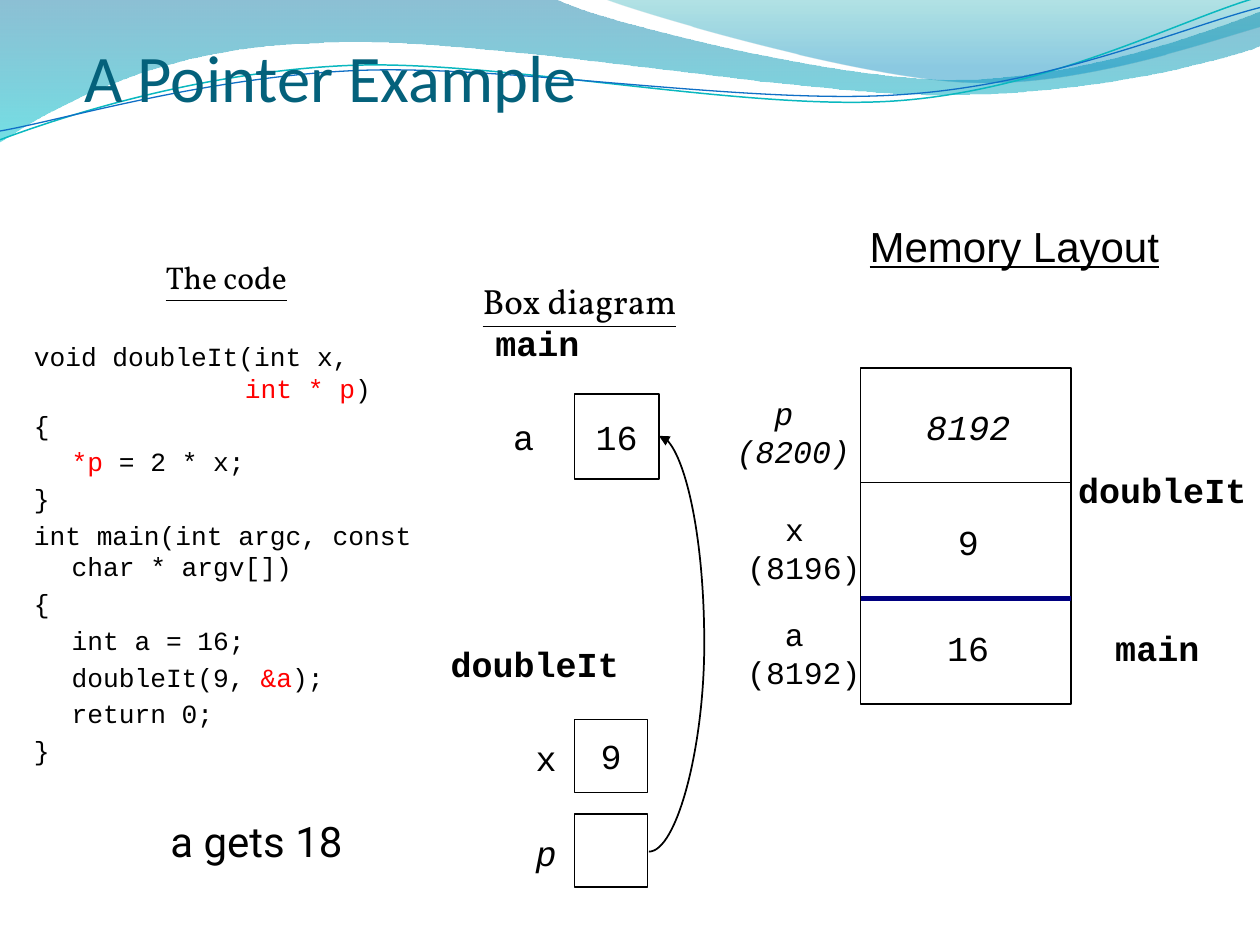
from pptx import Presentation
from pptx.dml.color import RGBColor as Rgb
from pptx.enum.shapes import MSO_CONNECTOR as Link, MSO_SHAPE as Shape
from pptx.enum.text import MSO_ANCHOR as Anchor, MSO_AUTO_SIZE as Auto, PP_ALIGN as Align
from pptx.oxml.ns import qn
from pptx.util import Inches, Pt
from lxml.etree import SubElement as Sub

THEME = {
    "ink": "000000", "paper": "FFFFFF", "red": "FF0000", "navy": "000080",
    "title": dict(name="Calibri", size=38, color="04617B"),
    "code_head": dict(name="Vollkorn", size=18, underline=True),
    "box_head": dict(name="Vollkorn", size=20, underline=True),
    "mem_head": dict(name="Arial", size=24, underline=True),
    "code": dict(name="Courier New", size=15),
    "mono": dict(name="Courier New", size=20),
    "place": dict(name="Courier New", size=18),
    "note": dict(name="Roboto", size=24),
}
BOLD, SLANT = {"bold": True}, {"italic": True}

# Each wave: start point, then Bezier curves or straight corners
BANDS = [
    ([(0, 0), (4.4, -0.01), (4.76, 0.17, 6.64, 0.63, 7.58, 0.63),
      (8.53, 0.63, 9.58, 0.26, 10, 0.09), (10.01, 0.36),
      (9.83, 0.44, 8.7, 0.76, 7.46, 0.75), (6.22, 0.75, 3.82, 0.28, 2.57, 0.34),
      (1.29, 0.36, 0.46, 0.83, -0.01, 1.13)],
     [(0, "0074A1", 45), (1, "00C6CF", 55)]),
    ([(4.79, -0.01), (5.09, 0.11, 6.82, 0.62, 7.69, 0.65),
      (8.56, 0.69, 9.61, 0.32, 10, 0.21), (10, 0)],
     [(0, "00A1A9", 30), (0.8, "008BBF", 45)]),
]
WAVES = [
    ([(0, 1.11), (0.48, 0.93, 1.58, 0.57, 2.77, 0.52),
      (3.95, 0.47, 5.93, 0.89, 7.13, 0.8), (8.33, 0.71, 9.38, 0.15, 9.98, -0.02)],
     "0AB8BF", 0.85),
    ([(0, 1.04), (0.47, 0.96, 1.64, 0.61, 2.83, 0.56),
      (4.03, 0.51, 5.97, 0.84, 7.17, 0.75), (8.36, 0.67, 9.41, 0.21, 10, 0.06)],
     "0F6FC6", 0.75),
]

# Code lines as runs of text and color
CODE = [
    [("void doubleIt(int x, \n           ", "ink"), ("int * p", "red"), (")", "ink")],
    [("{", "ink")],
    [("\t", "ink"), ("*p", "red"), (" = 2 * x;", "ink")],
    [("}", "ink")],
    [("int main(int argc, const char * argv[])", "ink")],
    [("{", "ink")],
    [("\tint a = 16;", "ink")],
    [("\tdoubleIt(9, ", "ink"), ("&a", "red"), (");", "ink")],
    [("\treturn 0;", "ink")],
    [("}", "ink")],
]

# Text, style, place, extra format, wrap
LABELS = [
    ("Box diagram", "box_head", (3.13, 2.17, 2.94, 0.61), {}, True),
    ("Memory Layout", "mem_head", (6.5, 1.7, 3.1, 0.9), {}, True),
    ("main", "mono", (3.82, 2.5, 0.89, 0.43), BOLD, False),
    ("a", "mono", (3.96, 3.25, 0.39, 0.43), {}, False),
    ("doubleIt", "mono", (3.46, 5.05, 1.57, 0.43), BOLD, False),
    ("x", "mono", (4.15, 5.8, 0.37, 0.43), {}, True),
    ("p", "mono", (4.15, 6.55, 0.37, 0.43), SLANT, True),
    ("p \n(8200)", "place", (5.67, 3.08, 1.25, 0.7), SLANT, True),
    ("x \n(8196)", "place", (5.67, 4, 1.42, 0.7), {}, True),
    ("a \n(8192)", "place", (5.83, 4.83, 1.1, 0.7), {}, False),
    ("8192", "mono", (7.24, 3.17, 0.89, 0.43), SLANT, False),
    ("9", "mono", (7.49, 4.08, 0.39, 0.43), {}, False),
    ("16", "mono", (7.4, 4.92, 0.57, 0.43), {}, False),
    ("doubleIt", "mono", (8.44, 3.67, 1.57, 0.43), BOLD, False),
    ("main", "mono", (8.74, 4.92, 0.89, 0.43), BOLD, False),
    ("a gets 18", "note", (1.24, 6.42, 1.59, 0.5), {}, False),
]
LEFT, WIDE = 6.83, 1.67
BOXES = [("", (LEFT, 2.92, WIDE, 2.67)), ("16", (4.56, 3.13, 0.67, 0.67)),
         ("9", (4.56, 5.71, 0.58, 0.58)), ("", (4.56, 6.46, 0.58, 0.58))]
RULES = [(3.83, "ink", 1), (4.75, "navy", 3)]

deck = Presentation()
deck.slide_width, deck.slide_height = Inches(10), Inches(7.5)
shapes = deck.slides.add_slide(deck.slide_layouts[6]).shapes


def draw(path, close):
    """Build a freeform through the corners, then bend its curved parts."""
    first, *rest = [tuple(map(Inches, part[-2:])) for part in path]
    pen = shapes.build_freeform(*first)
    pen.add_line_segments(rest, close=close)
    form = pen.convert_to_shape()
    form.shadow.inherit = False
    sides = list(form._element.spPr.iter(qn("a:lnTo")))
    for side, part in zip(sides, path[1:]):
        if len(part) == 6:
            home = side.getparent()
            curve = Sub(home, qn("a:cubicBezTo"))
            for x, y in zip(part[::2], part[1::2]):
                Sub(curve, qn("a:pt"), x=str(Inches(x) - form.left),
                    y=str(Inches(y) - form.top))
            home.replace(side, curve)
    return form


def ink(line, color, width):
    line.color.rgb, line.width = Rgb.from_string(color), Pt(width)


def write(para, text, style, **extra):
    look = {"color": THEME["ink"], **THEME[style], **extra}
    for i, piece in enumerate(text.split("\n")):
        if i:
            para.add_line_break()
        run = para.add_run()
        run.text = piece
        for key, value in look.items():
            if key == "color":
                run.font.color.rgb = Rgb.from_string(value)
            else:
                setattr(run.font, key, Pt(value) if key == "size" else value)


def frame(place, wrap=True):
    text = shapes.add_textbox(*map(Inches, place)).text_frame
    text.word_wrap = wrap
    return text


def join(kind, start, end, color, width):
    link = shapes.add_connector(kind, *map(Inches, start + end))
    ink(link.line, color, width)
    Sub(link._element.spPr, qn("a:effectLst"))
    return link


for path, stops in BANDS:
    band = draw(path, True)
    band.line.fill.background()
    band.fill.gradient()
    band.fill.gradient_angle = 270
    for stop, (spot, color, _) in zip(band.fill.gradient_stops, stops):
        stop.position, stop.color.rgb = spot, Rgb.from_string(color)
    for node, (_, _, alpha) in zip(band._element.spPr.iter(qn("a:srgbClr")), stops):
        Sub(node, qn("a:alpha"), val=str(alpha * 1000))
for path, color, width in WAVES:
    wave = draw(path, False)
    wave.fill.background()
    ink(wave.line, color, width)

head = frame((0.67, 0.17, 9.17, 0.75))
head.vertical_anchor = Anchor.BOTTOM
head.margin_left = head.margin_right = head.margin_bottom = 0
write(head.paragraphs[0], "A Pointer Example", "title")

body = frame((0.17, 2, 3.25, 5.17))
para = body.paragraphs[0]
para.alignment = Align.CENTER
write(para, "The code", "code_head")
for i, runs in enumerate(CODE):
    para = body.add_paragraph()
    para.space_before = Pt(3 if i else 25.5)
    props = para._p.get_or_add_pPr()
    props.set("marL", str(Inches(0.3)))
    props.set("indent", str(-Inches(0.3)))
    for text, color in runs:
        write(para, text, "code", color=THEME[color])

for text, place in BOXES:
    box = shapes.add_shape(Shape.RECTANGLE, *map(Inches, place))
    box.shadow.inherit = False
    box.fill.solid()
    box.fill.fore_color.rgb = Rgb.from_string(THEME["paper"])
    ink(box.line, THEME["ink"], 1)
    if text:
        box.text_frame.word_wrap = False
        box.text_frame.vertical_anchor = Anchor.MIDDLE
        para = box.text_frame.paragraphs[0]
        para.alignment = Align.CENTER
        write(para, text, "mono")

for y, color, width in RULES:
    join(Link.STRAIGHT, (LEFT, y), (LEFT + WIDE, y), THEME[color], width)
arrow = join(Link.CURVE, (5.15, 6.76), (5.23, 3.46), THEME["ink"], 1)
Sub(arrow.line._get_or_add_ln(), qn("a:tailEnd"), type="triangle")
bend = arrow._element.spPr.find(qn("a:prstGeom")).find(qn("a:avLst"))
Sub(bend, qn("a:gd"), name="adj1", fmla="val 550000")

for text, style, place, extra, wrap in LABELS:
    label = frame(place, wrap)
    label.auto_size = Auto.SHAPE_TO_FIT_TEXT
    para = label.paragraphs[0]
    para.alignment = Align.CENTER
    write(para, text, style, **extra)

deck.save("out.pptx")
